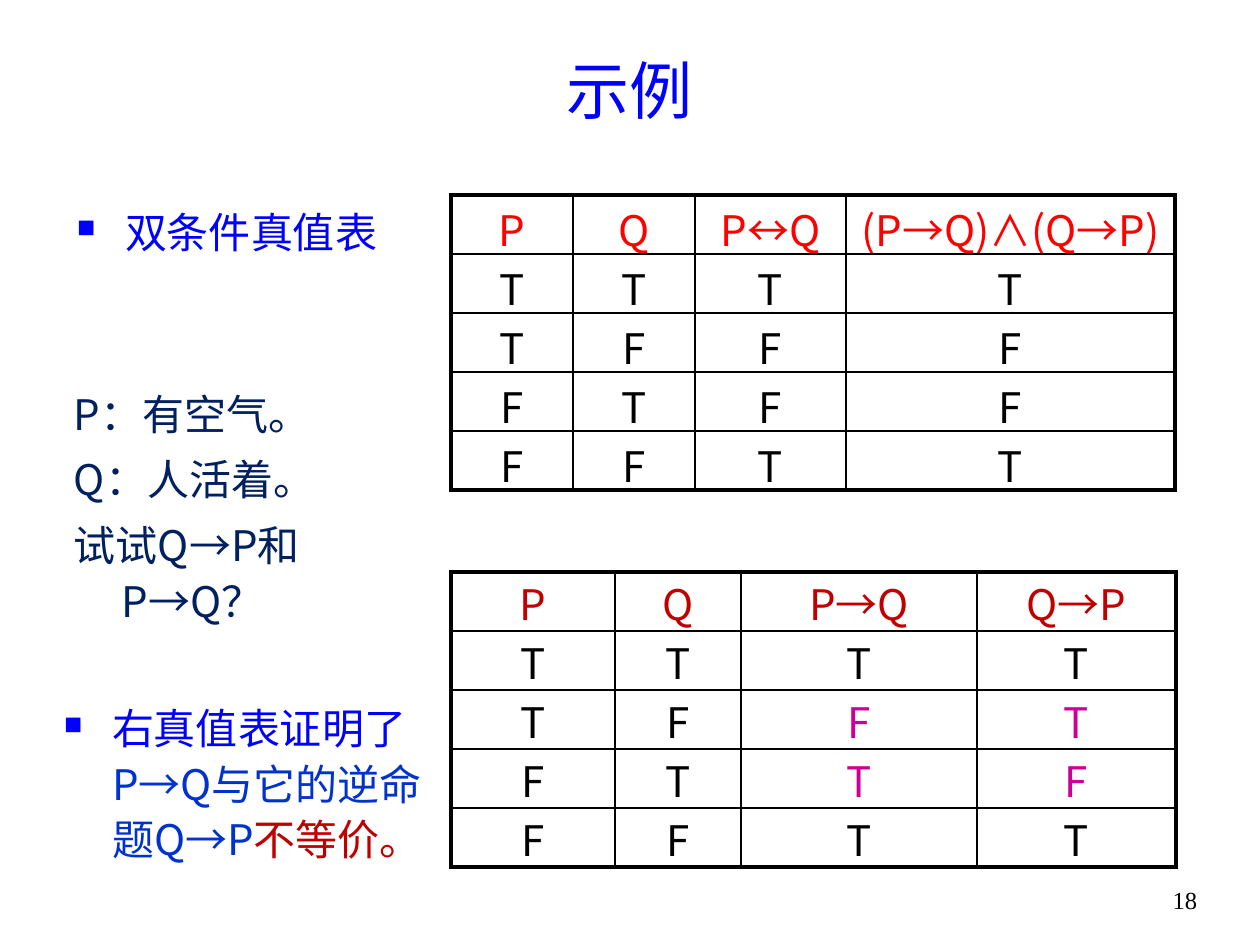
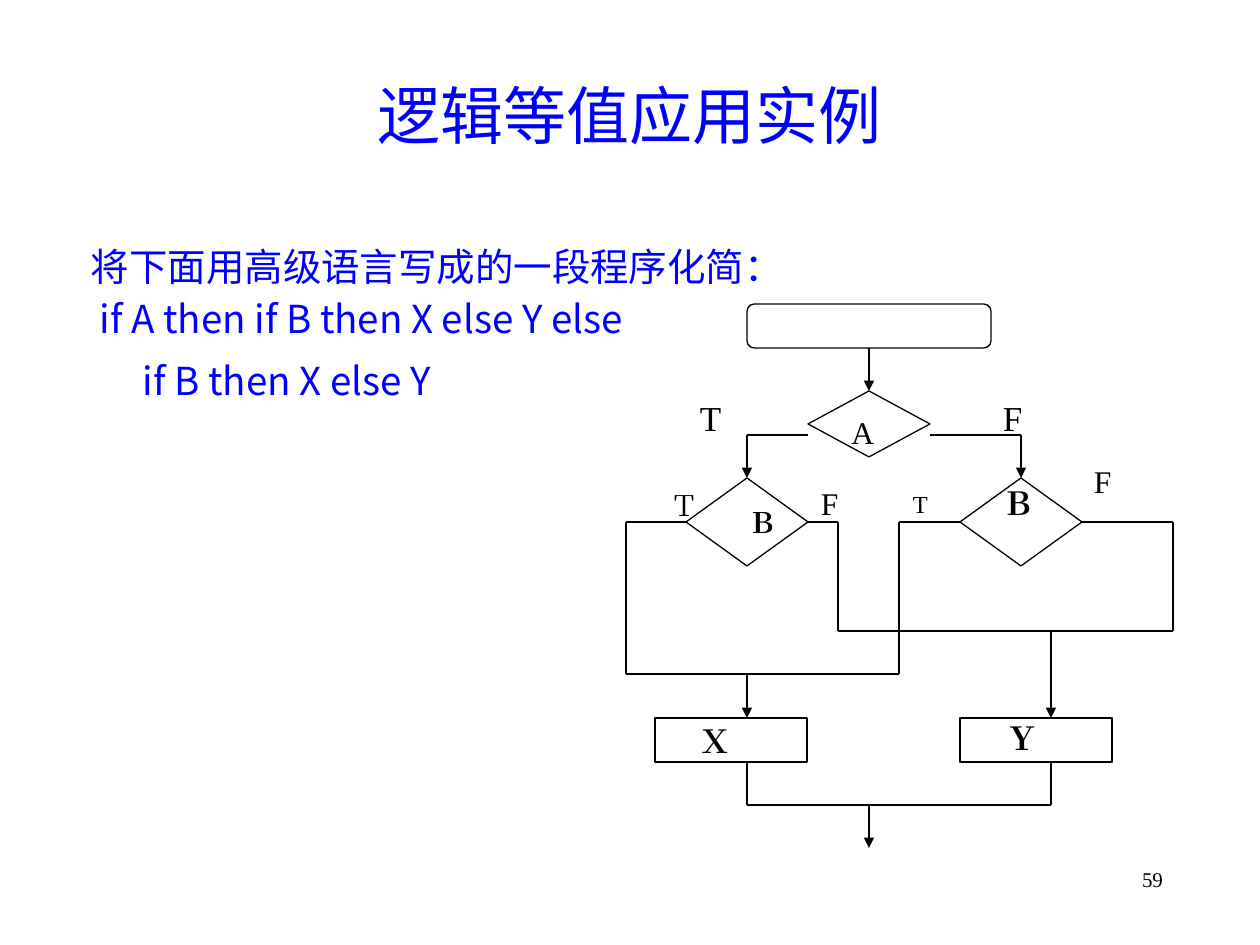
import pptx
import pptx.dml.color
import pptx.enum.shapes
import pptx.enum.text
import pptx.oxml
import pptx.oxml.ns
import pptx.util

PX = 914400 / 126
SANS, SERIF = "Noto Sans CJK SC", "Times New Roman"
BLACK, BLUE, ROYAL, NAVY = "000000", "0000FF", "0033CC", "002060"
RED, CRIMSON, MAGENTA = "FF0000", "C00000", "CC0099"
ALIGN = pptx.enum.text.PP_ALIGN
ANCHOR = pptx.enum.text.MSO_ANCHOR
SHAPE = pptx.enum.shapes.MSO_SHAPE
INSETS = (13, 6, 13, 6)


def px(length):
    return pptx.util.Emu(round(length * PX))


def rgb(value):
    return pptx.dml.color.RGBColor.from_string(value)


def add_xml(parent, xml):
    space = pptx.oxml.ns.nsdecls("a")
    tag, rest = xml[1:].split(" ", 1)
    element = pptx.oxml.parse_xml(f"<{tag} {space} {rest}")
    parent.append(element)
    return element


class Deck:
    """Hold the lecture style and the slide being drawn."""

    def __init__(self):
        self.show = pptx.Presentation()
        self.show.slide_width, self.show.slide_height = px(1260), px(945)
        self.slide = None

    def new_slide(self, title, title_box, anchor, number, number_box, number_size, number_align):
        self.slide = self.show.slides.add_slide(self.show.slide_layouts[6])
        self.text(title_box, [title], 36, BLUE, align=ALIGN.CENTER, anchor=anchor)
        self.text(number_box, [number], number_size, font=SERIF, align=number_align)

    def style_run(self, run, size, color, font, bold=False):
        run.font.size, run.font.name, run.font.bold = pptx.util.Pt(size), font, bold
        run.font.color.rgb = rgb(color)
        add_xml(run.font._element, f'<a:ea typeface="{font}"/>')

    def fill_frame(self, frame, paragraphs, size, color=BLACK, font=SANS, align=ALIGN.LEFT,
                   anchor=ANCHOR.TOP, insets=INSETS, bold=False, hang=0, spacing=None,
                   after=0, bullet=False):
        frame.word_wrap = True
        frame.vertical_anchor = anchor
        (frame.margin_left, frame.margin_top,
         frame.margin_right, frame.margin_bottom) = map(px, insets)
        for index, content in enumerate(paragraphs):
            paragraph = frame.paragraphs[0] if index == 0 else frame.add_paragraph()
            pieces = [(content, color)] if isinstance(content, str) else content
            for words, tint in pieces:
                run = paragraph.add_run()
                run.text = words
                self.style_run(run, size, tint, font, bold)
            paragraph.alignment = align
            if spacing:
                paragraph.line_spacing = spacing
                paragraph.space_after = pptx.util.Pt(after)
            if hang:
                self.indent(paragraph, hang, -hang)
            if bullet:
                properties = paragraph._p.get_or_add_pPr()
                add_xml(properties, f'<a:buClr ><a:srgbClr val="{BLUE}"/></a:buClr>')
                add_xml(properties, '<a:buSzPct val="60000"/>')
                add_xml(properties, '<a:buChar char="■"/>')

    def indent(self, paragraph, left, first):
        properties = paragraph._p.get_or_add_pPr()
        properties.set("marL", str(px(left)))
        properties.set("indent", str(px(first)))

    def text(self, box, paragraphs, size, color=BLACK, **style):
        frame = self.slide.shapes.add_textbox(*map(px, box)).text_frame
        self.fill_frame(frame, paragraphs, size, color, **style)
        return frame

    def label(self, left, top, letter, size, bold=False, nudge=(0, 0)):
        insets = (13 + nudge[0], 6 + nudge[1], 13, 6)
        self.text((left, top, 91, 66), [letter], size, font=SERIF, bold=bold, insets=insets)

    def shape(self, kind, *box):
        shape = self.slide.shapes.add_shape(kind, *map(px, box))
        shape.shadow.inherit = False
        shape.fill.background()
        shape.line.color.rgb = rgb(BLACK)
        shape.line.width = pptx.util.Pt(0.75)
        return shape

    def route(self, *points, start=None, end=None, arrow=False):
        legs = []
        for begin, finish in zip(points, points[1:]):
            leg = self.slide.shapes.add_connector(
                pptx.enum.shapes.MSO_CONNECTOR.STRAIGHT, *map(px, begin + finish))
            leg.line.color.rgb = rgb(BLACK)
            leg.line.width = pptx.util.Pt(0.75)
            add_xml(leg._element.spPr, "<a:effectLst />")
            legs.append(leg)
        if start:
            legs[0].begin_connect(*start)
        if end:
            legs[-1].end_connect(*end)
        if arrow:
            add_xml(legs[-1].line._get_or_add_ln(), '<a:tailEnd type="triangle"/>')

    def truth_table(self, left, top, widths, rows, head_color, insets):
        table = self.slide.shapes.add_table(
            len(rows), len(widths), px(left), px(top), px(sum(widths)), px(59 * len(rows))).table
        table.first_row = table.horz_banding = False
        for column, width in zip(table.columns, widths):
            column.width = px(width)
        last_row, last_column = len(rows) - 1, len(widths) - 1
        for r, values in enumerate(rows):
            table.rows[r].height = px(59)
            for c, value in enumerate(values):
                cell = table.cell(r, c)
                differs = c > 1 and values[2] != values[3]
                color = head_color if r == 0 else MAGENTA if differs else BLACK
                self.fill_frame(cell.text_frame, [value], 24, color, align=ALIGN.CENTER)
                cell.vertical_anchor = ANCHOR.MIDDLE
                (cell.margin_left, cell.margin_top,
                 cell.margin_right, cell.margin_bottom) = map(px, insets)
                outer = {"L": c == 0, "R": c == last_column, "T": r == 0, "B": r == last_row}
                for side, thick in outer.items():
                    width = pptx.util.Pt(2.25 if thick else 1)
                    add_xml(cell._tc.get_or_add_tcPr(),
                            f'<a:ln{side} w="{width}"><a:solidFill><a:srgbClr val="{BLACK}"/>'
                            f'</a:solidFill></a:ln{side}>')
                cell.fill.background()


def truth_slide(deck):
    deck.new_slide("示例", (94, 45, 1071, 89), ANCHOR.MIDDLE,
                   "18", (1126, 879, 118, 44), 14, ALIGN.CENTER)
    body = dict(hang=48, spacing=1.1, after=6)
    deck.text((64, 195, 357, 69), ["双条件真值表"], 24, BLUE, bullet=True, **body)
    deck.truth_table(451, 195, (122, 122, 151, 329),
                     [("P", "Q", "P↔Q", "(P→Q)∧(Q→P)"), "TTTT", "TFFF", "FTFF", "FFTT"],
                     RED, (0, 3, 0, 3))
    deck.truth_table(451, 572, (164, 126, 236, 199),
                     [("P", "Q", "P→Q", "Q→P"), "TTTT", "TFFT", "FTTF", "FFTT"],
                     CRIMSON, (13, 0, 13, 0))
    conclusion = [("右真值表证明了", BLUE), ("P→Q与它的逆命题Q→P", ROYAL), ("不等价。", CRIMSON)]
    deck.text((64, 698, 358, 179), [conclusion], 24, insets=(0, 0, 0, 0), bullet=True, **body)
    deck.text((64, 383, 367, 198), ["P：有空气。", "Q：人活着。", "试试Q→P和P→Q？"],
              24, NAVY, insets=(10, 0, 10, 0), **body)


def flow_slide(deck):
    deck.new_slide("逻辑等值应用实例", (94, 0, 1071, 158), ANCHOR.BOTTOM,
                   "59", (903, 861, 273, 66), 12, ALIGN.RIGHT)
    program = deck.text((78, 242, 1118, 588),
                        ["将下面用高级语言写成的一段程序化简：",
                         "if A then if B then X else Y else", "if B then X else Y"],
                        22, BLUE, hang=64, spacing=0.9, after=6)
    deck.indent(program.paragraphs[1], 64, -55)
    deck.indent(program.paragraphs[2], 64, -12)
    program.paragraphs[2].space_before = pptx.util.Pt(6)

    entry = deck.shape(SHAPE.FLOWCHART_ALTERNATE_PROCESS, 747, 304, 244, 44)
    test_a = deck.shape(SHAPE.FLOWCHART_DECISION, 808, 391, 122, 66)
    deck.fill_frame(test_a.text_frame, ["A"], 18, font=SERIF)
    left_b, right_b = [deck.shape(SHAPE.DIAMOND, x, 478, 122, 88) for x in (686, 960)]
    for x in (655, 960):
        deck.shape(SHAPE.RECTANGLE, x, 718, 152, 44)

    deck.route((869, 348), (869, 391), start=(entry, 2), end=(test_a, 0), arrow=True)
    deck.route((808, 435), (747, 435), (747, 478), end=(left_b, 0), arrow=True)
    deck.route((930, 435), (1021, 435), (1021, 478), end=(right_b, 0), arrow=True)
    deck.route((686, 522), (626, 522), (626, 674), start=(left_b, 1))
    deck.route((960, 522), (899, 522), (899, 674), (626, 674), start=(right_b, 1))
    deck.route((808, 522), (838, 522), (838, 631), (1173, 631), (1173, 522), (1082, 522),
               start=(left_b, 3), end=(right_b, 3))
    deck.route((747, 674), (747, 718), arrow=True)
    deck.route((1051, 631), (1051, 718), arrow=True)
    deck.route((747, 762), (747, 805), (1051, 805), (1051, 762))
    deck.route((869, 805), (869, 848), arrow=True)

    for left, top, letter, size in [(687, 391, "T", 20), (990, 391, "F", 20),
                                    (658, 483, "Ｔ", 16), (808, 478, "F", 18),
                                    (900, 483, "T", 14), (1081, 456, "F", 18)]:
        deck.label(left, top, letter, size)
    deck.label(720, 471, "Ｂ", 16, bold=True, nudge=(16, 35))
    deck.label(990, 478, "Ｂ", 18, bold=True)
    deck.label(687, 696, "Ｘ", 18, bold=True, nudge=(0, 20))
    deck.label(994, 713, "Ｙ", 18, bold=True)


def main():
    deck = Deck()
    truth_slide(deck)
    flow_slide(deck)
    deck.show.save("out.pptx")


if __name__ == "__main__":
    main()
